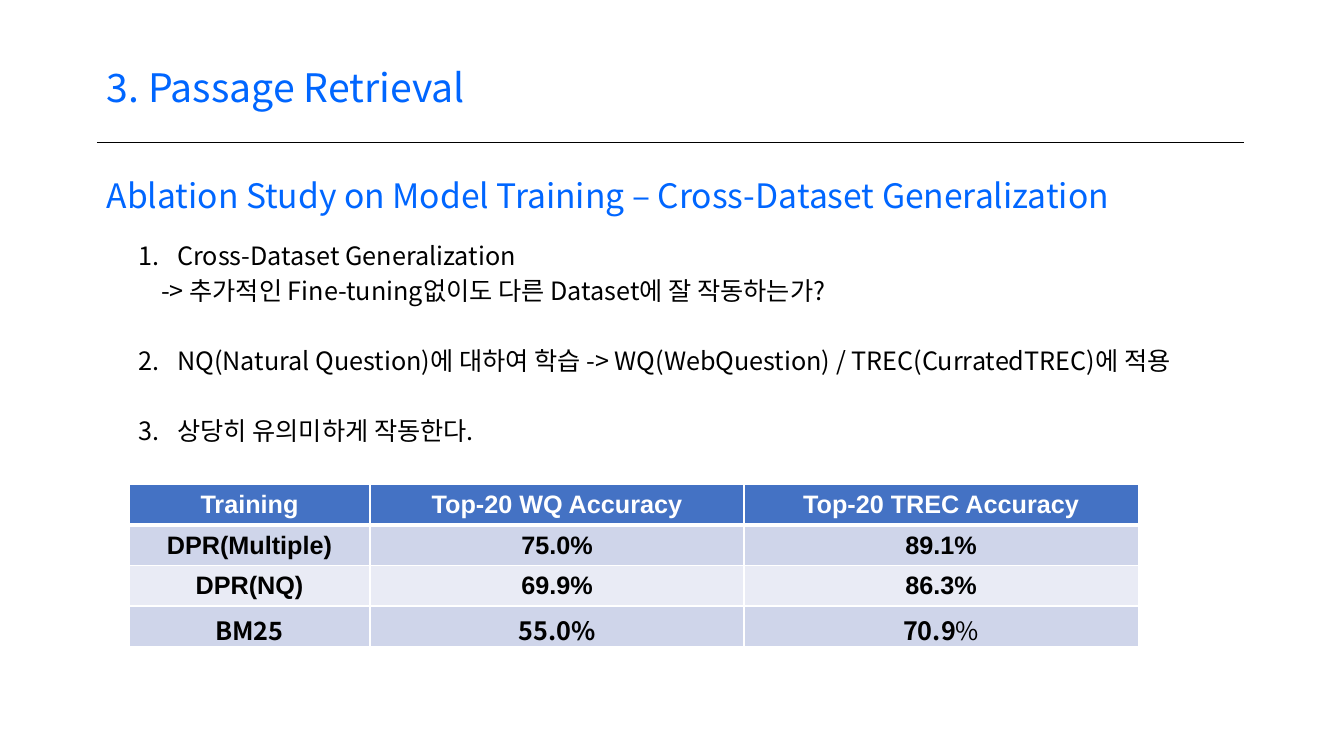
from lxml.etree import SubElement
from pptx import Presentation
from pptx.dml.color import RGBColor
from pptx.enum.shapes import MSO_CONNECTOR
from pptx.enum.text import MSO_ANCHOR, PP_ALIGN
from pptx.oxml.ns import qn
from pptx.util import Pt

PX = 9144  # 100 px to the inch
THEME = {
    "blue": "0066FF", "black": "000000", "white": "FFFFFF",
    "header": "4472C4", "bands": ("CFD5EA", "E9EBF5"),
    "title": 28, "subtitle": 24, "body": 18, "leading": 25,
    "font": "Noto Sans CJK KR", "table_font": "Arial",
}


def px(*lengths):
    return [length * PX for length in lengths]


def write(paragraph, text, size=THEME["body"], color=THEME["black"],
          font=THEME["font"], bold=False):
    run = paragraph.add_run()
    run.text = text
    run.font.size = Pt(size)
    run.font.bold = bold
    run.font.name = font
    run.font.color.rgb = RGBColor.from_string(color)
    SubElement(run.font._element, qn("a:ea"), typeface=font)


deck = Presentation()
deck.slide_width, deck.slide_height = px(1333, 750)
slide = deck.slides.add_slide(deck.slide_layouts[6])

# Headings
headings = [
    ("3. Passage Retrieval", THEME["title"], (96, 58, 666, 57)),
    ("Ablation Study on Model Training – Cross-Dataset Generalization",
     THEME["subtitle"], (96, 169, 1054, 50)),
]
for heading, size, place in headings:
    frame = slide.shapes.add_textbox(*px(*place)).text_frame
    frame.word_wrap = True
    write(frame.paragraphs[0], heading, size=size, color=THEME["blue"])

# Rule under the title
rule = slide.shapes.add_connector(MSO_CONNECTOR.STRAIGHT, *px(96, 141, 1234, 141))
rule.line.color.rgb = RGBColor.from_string(THEME["black"])
rule.line.width = Pt(0.5)
SubElement(rule._element.spPr, qn("a:effectLst"))

# Numbered findings: number (None for a follow-up line) and wording
findings = [
    (1, "Cross-Dataset Generalization"),
    (None, "-> 추가적인 Fine-tuning없이도 다른 Dataset에 잘 작동하는가?"),
    (2, "NQ(Natural Question)에 대하여 학습 -> WQ(WebQuestion) / TREC(CurratedTREC)에 적용"),
    (3, "상당히 유의미하게 작동한다."),
]
findings_frame = slide.shapes.add_textbox(*px(128, 229, 1077, 252)).text_frame
findings_frame.word_wrap = True
for index, (number, finding) in enumerate(findings):
    line = findings_frame.add_paragraph() if index else findings_frame.paragraphs[0]
    line.line_spacing = Pt(THEME["leading"])
    properties = line._p.get_or_add_pPr()
    if number:
        line.space_before = Pt(THEME["leading"] if index else 0)
        properties.set("marL", str(38 * PX))
        properties.set("indent", str(-38 * PX))
        SubElement(properties, qn("a:buFont"), typeface="+mj-lt")
        SubElement(properties, qn("a:buAutoNum"), type="arabicPeriod", startAt=str(number))
    else:
        properties.set("marL", str(22 * PX))
        properties.set("indent", "0")
    write(line, finding)

# Accuracy table
accuracy = [
    ("Training", "Top-20 WQ Accuracy", "Top-20 TREC Accuracy"),
    ("DPR(Multiple)", "75.0%", "89.1%"),
    ("DPR(NQ)", "69.9%", "86.3%"),
    ("BM25", "55.0%", "70.9"),
]
last_row = len(accuracy) - 1
table = slide.shapes.add_table(len(accuracy), 3, *px(128, 481, 1001, 160)).table
for column, width in zip(table.columns, px(239, 371, 391)):
    column.width = width
for r, values in enumerate(accuracy):
    table.rows[r].height = 40 * PX
    fill = THEME["bands"][(r - 1) % 2] if r else THEME["header"]
    for c, value in enumerate(values):
        cell = table.cell(r, c)
        cell.vertical_anchor = MSO_ANCHOR.MIDDLE
        if r == last_row:
            cell.margin_bottom = 0
        # White borders, heavier under the header
        for edge in "LRTB":
            heavy = (r, edge) in ((0, "B"), (1, "T"))
            border = SubElement(cell._tc.get_or_add_tcPr(), qn(f"a:ln{edge}"),
                                w=str(Pt(3 if heavy else 1)))
            SubElement(SubElement(border, qn("a:solidFill")), qn("a:srgbClr"),
                       val=THEME["white"])
        cell.fill.solid()
        cell.fill.fore_color.rgb = RGBColor.from_string(fill)
        entry = cell.text_frame.paragraphs[0]
        entry.alignment = PP_ALIGN.CENTER
        write(entry, value, bold=True,
              color=THEME["black"] if r else THEME["white"],
              font=THEME["font"] if r == last_row else THEME["table_font"])
write(table.cell(last_row, 2).text_frame.paragraphs[0], "%")

deck.save("out.pptx")
